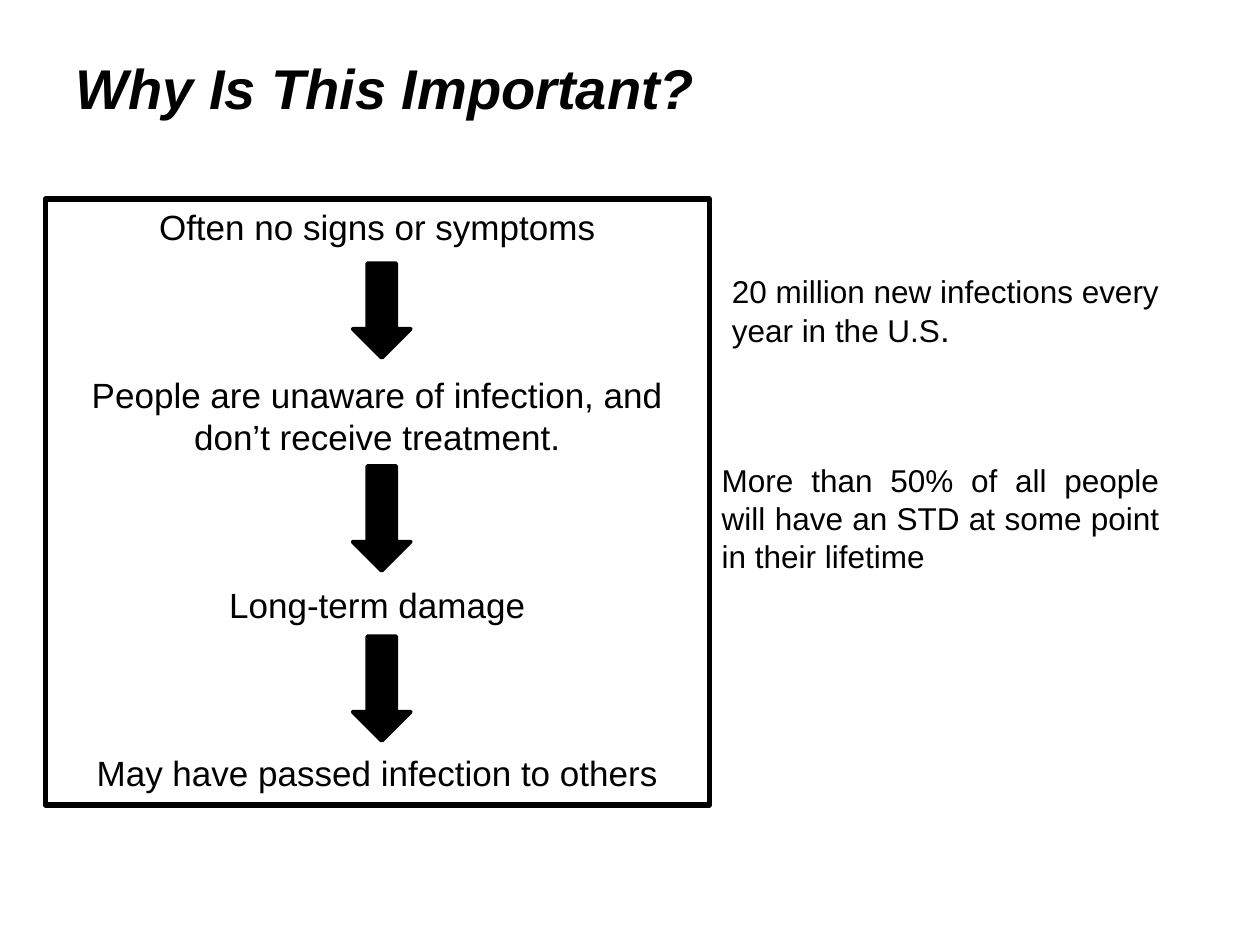
from dataclasses import dataclass

import pptx
import pptx.dml.color
import pptx.enum.shapes
import pptx.enum.text
import pptx.oxml
import pptx.oxml.ns
import pptx.util

Inches = pptx.util.Inches
Pt = pptx.util.Pt
Align = pptx.enum.text.PP_ALIGN
Anchor = pptx.enum.text.MSO_ANCHOR
Preset = pptx.enum.shapes.MSO_SHAPE

COLOURS = {"ink": "000000"}
FONT_NAME = "Arial"
ARROW_LEFT, ARROW_WIDTH = 2.8, 0.46


@dataclass
class Box:
    left: float
    top: float
    width: float
    height: float

    def lengths(self) -> list:
        return [Inches(v) for v in (self.left, self.top, self.width, self.height)]


@dataclass
class Note:
    box: Box
    runs: list
    paragraph_format: dict
    anchor: Anchor = Anchor.TOP


TITLE = Note(
    Box(0.5, 0.17, 8.58, 1.05),
    [("Why Is This Important?", {"size": Pt(32), "bold": True, "italic": True})],
    {"alignment": Align.LEFT},
    Anchor.MIDDLE,
)
INFECTIONS = Note(
    Box(5.71, 2.09, 3.77, 0.74),
    [
        ("20 million new infections every year in the U.S", {"size": Pt(18)}),
        (".", {"size": Pt(20)}),
    ],
    {"alignment": Align.LEFT, "line_spacing": Pt(23)},
)
LIFETIME = Note(
    Box(5.63, 3.61, 3.67, 1.01),
    [
        (
            "More than 50% of all people will have an STD at some point in their lifetime",
            {"size": Pt(18)},
        )
    ],
    {"alignment": Align.JUSTIFY, "line_spacing": Pt(21.6)},
)
CHAIN_BOX = Box(0.36, 1.58, 5.27, 4.81)
CHAIN_STEPS = [
    "Often no signs or symptoms",
    "People are unaware of infection, and don’t receive treatment.",
    "Long-term damage",
    "May have passed infection to others",
]
ARROWS = [
    Box(ARROW_LEFT, top, ARROW_WIDTH, height)
    for top, height in ((2.09, 0.75), (3.7, 0.83), (5.05, 0.83))
]


def colour(name: str) -> pptx.dml.color.RGBColor:
    return pptx.dml.color.RGBColor.from_string(COLOURS[name])


def apply_format(target, values: dict) -> None:
    for name, value in values.items():
        setattr(target, name, value)


def add_run(paragraph, text: str, values: dict) -> None:
    run = paragraph.add_run()
    run.text = text
    apply_format(run.font, {"name": FONT_NAME, **values})
    run.font.color.rgb = colour("ink")


def add_note(slide, note: Note) -> None:
    frame = slide.shapes.add_textbox(*note.box.lengths()).text_frame
    apply_format(frame, {"word_wrap": True, "vertical_anchor": note.anchor})
    paragraph = frame.paragraphs[0]
    apply_format(paragraph, note.paragraph_format)
    for text, values in note.runs:
        add_run(paragraph, text, values)


def add_outlined_shape(slide, preset: Preset, box: Box, line_width: float):
    shape = slide.shapes.add_shape(preset, *box.lengths())
    shape.shadow.inherit = False
    shape.line.color.rgb = colour("ink")
    shape.line.width = Pt(line_width)
    namespace = pptx.oxml.ns.nsdecls("a")
    shape.line._get_or_add_ln().append(pptx.oxml.parse_xml(f"<a:round {namespace}/>"))
    return shape


def add_chain(slide) -> None:
    shape = add_outlined_shape(slide, Preset.RECTANGLE, CHAIN_BOX, 3)
    shape.fill.background()
    frame = shape.text_frame
    apply_format(frame, {"word_wrap": True, "vertical_anchor": Anchor.TOP})
    for index, step in enumerate(CHAIN_STEPS):
        paragraph = frame.add_paragraph() if index else frame.paragraphs[0]
        apply_format(
            paragraph,
            {
                "alignment": Align.CENTER,
                "line_spacing": Pt(24),
                "space_before": Pt(72 if index else 0),
            },
        )
        add_run(paragraph, step, {"size": Pt(20)})


def add_arrow(slide, box: Box) -> None:
    shape = add_outlined_shape(slide, Preset.DOWN_ARROW, box, 2.25)
    shape.fill.solid()
    shape.fill.fore_color.rgb = colour("ink")


def main() -> None:
    presentation = pptx.Presentation()
    apply_format(
        presentation, {"slide_width": Inches(10), "slide_height": Inches(7.5)}
    )
    slide = presentation.slides.add_slide(presentation.slide_layouts[6])
    add_note(slide, TITLE)
    add_note(slide, INFECTIONS)
    add_chain(slide)
    add_note(slide, LIFETIME)
    for box in ARROWS:
        add_arrow(slide, box)
    presentation.save("out.pptx")


if __name__ == "__main__":
    main()
